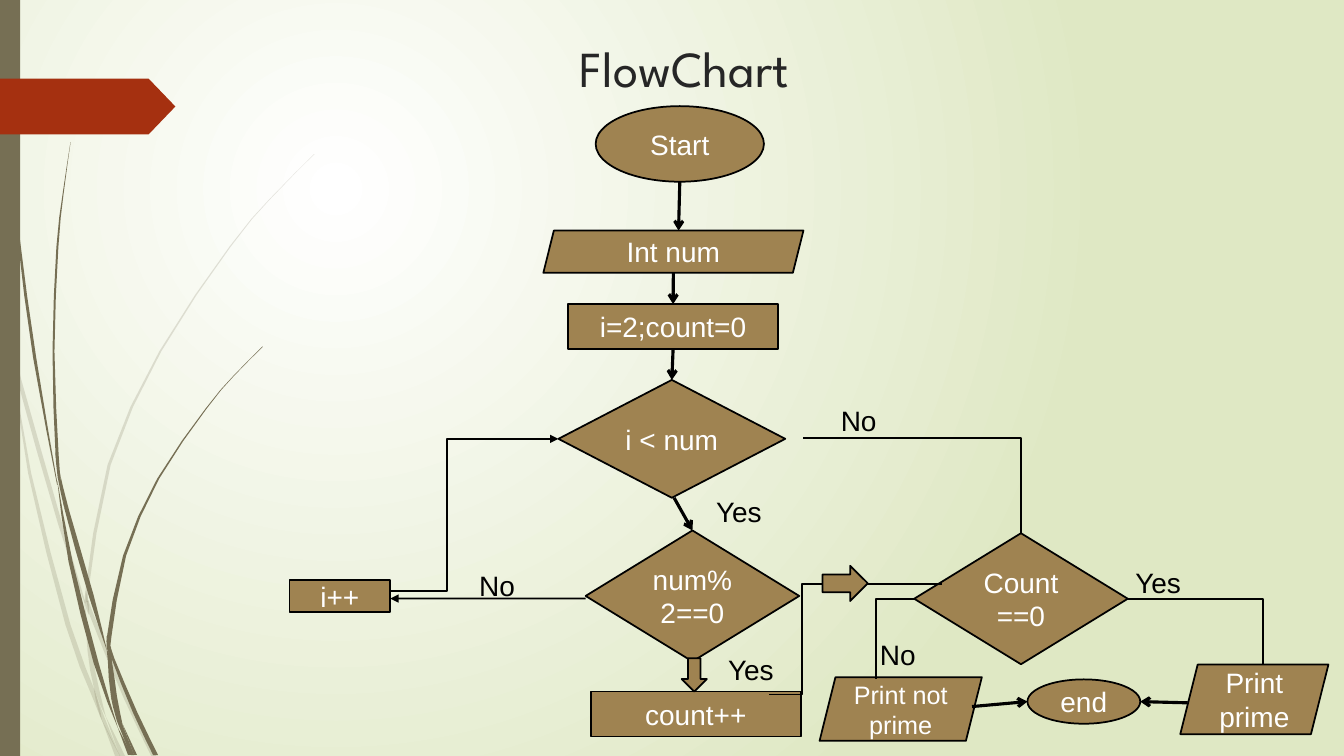
from dataclasses import dataclass
from lxml import etree
from pptx import Presentation
from pptx.dml.color import RGBColor
from pptx.enum.shapes import MSO_CONNECTOR, MSO_SHAPE
from pptx.enum.text import MSO_ANCHOR, PP_ALIGN
from pptx.oxml.ns import qn
from pptx.util import Pt

OVAL, RECT, RIBBON = MSO_SHAPE.OVAL, MSO_SHAPE.RECTANGLE, MSO_SHAPE.PENTAGON
DATA, DECISION = MSO_SHAPE.PARALLELOGRAM, MSO_SHAPE.FLOWCHART_DECISION
DOWN_ARROW, RIGHT_ARROW = MSO_SHAPE.DOWN_ARROW, MSO_SHAPE.RIGHT_ARROW
STRAIGHT, ELBOW = MSO_CONNECTOR.STRAIGHT, MSO_CONNECTOR.ELBOW
TOP, MIDDLE, CENTER = MSO_ANCHOR.TOP, MSO_ANCHOR.MIDDLE, PP_ALIGN.CENTER


@dataclass(frozen=True)
class Theme:
    stem: str = "766F54"
    ribbon: str = "A53010"
    node: str = "9F8351"
    ink: str = "000000"
    light: str = "FFFFFF"
    backdrop: str = "DFE8C4"
    heading: str = "262626"
    heading_font: str = "League Spartan"
    body_font: str = "Arial"
    heading_size: float = 36
    body_size: float = 20
    small_size: float = 18
    outline: float = 1.25


@dataclass(frozen=True)
class Box:
    left: float
    top: float
    width: float
    height: float

    def place(self, x, y, width, height):
        return Pt(self.left + x), Pt(self.top + y), Pt(width), Pt(height)


THEME = Theme()

# Strands of grass, each a run of knots: centre x, y, width
PALE_STRANDS = [
    [(0.1, 203, 0.1), (5.2, 231.8, 2.5), (7.9, 252, 0.1)],
    [(10.1, 248.4, 0.1), (13.7, 271, 2.9), (43.2, 375, 3), (60.8, 431, 0.8)],
    [(63.4, 429, 0.1), (65, 438, 3), (89.8, 498, 3.4), (109.8, 540, 3.6)],
    [(75.6, 512, 0.1), (87.5, 540, 3.6)],
    [(7.9, 252, 0.1), (21.2, 338, 2.2), (48.6, 446.4, 3.6), (66.6, 495, 3.6), (72.7, 514, 0.1)],
    [(60.5, 431.3, 0.1), (64, 465, 2.9), (69, 492, 3.5), (75.6, 512, 0.1)],
    [(224.6, 110, 0.2), (193, 142, 0.5), (164.5, 176, 0.9), (114.5, 251, 1.4), (78, 332, 2.2),
     (62.3, 420.5, 2.2), (63.4, 429, 0.1)],
    [(72.7, 514, 0.1), (84, 540, 3.6)],
    [(61.2, 422, 0.1), (61.9, 431, 2.9), (63.4, 439, 0.1)],
    [(67, 492, 0.1), (73, 512, 2.9), (85.7, 540, 0.1)],
]
DARK_STRANDS = [
    [(2.5, 0, 0.7), (5.4, 79, 0.8), (13, 167, 1.5), (24.8, 255.6, 2.2), (41, 346.3, 0.4)],
    [(43.2, 340, 0.1), (47.7, 364, 3), (65.2, 425.5, 3.6), (76.3, 464.4, 0.1)],
    [(79.2, 461.5, 0.1), (80.6, 470, 2), (96.6, 509, 3.2), (111.2, 539.3, 3.6)],
    [(41, 343.5, 0.1), (50.4, 401, 2.9), (68.8, 474, 3.6), (84.2, 519.8, 0.1)],
    [(50.4, 101.5, 0.1), (45, 139, 0.7), (41, 176.4, 1.4), (38.2, 251, 1.4), (40.8, 325, 2.2),
     (43.2, 340, 0.1)],
    [(87.8, 517.7, 0.1), (96.8, 539.3, 2.2)],
    [(39.6, 323.3, 0.1), (42.2, 341, 2), (46.1, 363.6, 0.1)],
    [(187.6, 247.7, 0.5), (166.5, 269, 0.5), (147.2, 292, 0.8), (113, 342, 1.4), (89, 397, 2.2),
     (78.1, 454.3, 3.2), (79.2, 461.5, 0.1)],
    [(84.2, 519.8, 0.1), (92.9, 539.3, 2.9)],
    [(76.3, 464.4, 0.1), (78.5, 472.3, 2.9), (81.4, 497.5, 4.3), (87.5, 517.7, 0.1)],
    [(76.3, 454.3, 0.1), (77.8, 463, 2.9), (79.9, 472.3, 0.1)],
    [(79.2, 497.5, 0.1), (85, 515, 3), (94.7, 539.3, 2.2)],
]

# Flowchart steps: preset, text, place in the chart box
STEPS = {
    "start": (OVAL, "Start", (225.5, 3.8, 120.2, 54)),
    "input": (DATA, "Int num", (188.1, 92.7, 185.8, 30.2)),
    "init": (RECT, "i=2;count=0", (205.9, 145.2, 149.8, 32.2)),
    "in_range": (DECISION, "i < num", (198.9, 199.4, 162, 84.2)),
    "divides": (DECISION, "num%2==0", (218.3, 306.9, 152.6, 93.6)),
    "next_i": (RECT, "i++", (6.8, 342.2, 72, 23)),
    "no_divisor": (DECISION, "Count==0", (453, 308.9, 152.6, 93.6)),
    "add_count": (RECT, "count++", (222.1, 421.9, 149.8, 32.2)),
    "prime": (DATA, "Print\nprime", (643.1, 402.7, 105.8, 49.7)),
    "not_prime": (DATA, "Print not\nprime", (385.4, 411.8, 115.9, 45.4)),
    "end": (OVAL, "end", (533.9, 413.3, 80.6, 31.7)),
}

# Flows: step and fraction of its width and height at each end, then format
BOLD = {"weight": 2.25, "head": "arrow"}
LOOP = (("next_i", 0.46, 0.34), ("in_range", 0, 0.5),
        {"weight": 1.75, "head": "triangle", "bend": 0.5})
FLOWS = [
    (("divides", 0, 0.52), ("next_i", 1, 0.58), {"head": "triangle"}),
    (("in_range", 1.08, 0.49), ("no_divisor", 0.5, 0), {"bend": 1}),
    (("no_divisor", 1, 0.5), ("prime", 0.56, 0), {"bend": 1}),
    (("no_divisor", 0, 0.5), ("not_prime", 0.35, 0.03), {"bend": 1}),
    (("add_count", 0.85, 0.07), ("no_divisor", 0.13, 0.39), {"bend": 0.19}),
    (("start", 0.5, 1), ("input", 0.52, 0), BOLD),
    (("input", 0.5, 1), ("init", 0.5, 0), BOLD),
    (("init", 0.5, 1), ("in_range", 0.5, 0), BOLD),
    (("in_range", 0.51, 1), ("divides", 0.5, 0), BOLD),
    (("not_prime", 0.94, 0.46), ("end", 0, 0.5), BOLD),
    (("prime", 0.05, 0.55), ("end", 1, 0.5), BOLD),
]
BLOCK_ARROWS = [(DOWN_ARROW, (286.9, 398.2, 18, 23.8)), (RIGHT_ARROW, (387.5, 332.1, 32.4, 25.2))]
ANSWERS = [("Yes", 300.4, 393.7), ("No", 119, 334), ("No", 377.4, 216.2),
           ("Yes", 291.8, 281.2), ("Yes", 591.3, 331.8), ("No", 405.3, 383.6)]


def write(shape, text, *, font=THEME.body_font, size=THEME.body_size, color=THEME.light,
          anchor=MIDDLE):
    frame = shape.text_frame
    frame.word_wrap, frame.vertical_anchor, frame.text = True, anchor, text
    for paragraph in frame.paragraphs:
        paragraph.alignment = CENTER
        paragraph.font.name, paragraph.font.size = font, Pt(size)
        paragraph.font.color.rgb = RGBColor.from_string(color)


def paint(shape, fill, outline=None):
    shape.shadow.inherit = False
    shape.fill.solid()
    shape.fill.fore_color.rgb = RGBColor.from_string(fill)
    shape.line.fill.background()
    if outline:
        shape.line.color.rgb = RGBColor.from_string(outline)
        shape.line.width = Pt(THEME.outline)
    return shape


def smooth(knots):
    """Add a point midway along the curve between each two knots."""
    padded = [knots[0], *knots, knots[-1]]
    for a, b, c, d in zip(padded, padded[1:], padded[2:], padded[3:]):
        yield b
        yield [(9 * (q + r) - p - s) / 16 for p, q, r, s in zip(a, b, c, d)]
    yield knots[-1]


def add_strand(slide, box, knots, opacity):
    curve = list(smooth(knots))
    edges = [(x - w / 2, y) for x, y, w in curve] + [(x + w / 2, y) for x, y, w in curve[::-1]]
    outline = [(Pt(box.left + x), Pt(box.top + y)) for x, y in edges]
    builder = slide.shapes.build_freeform(*outline[0])
    builder.add_line_segments(outline[1:], close=True)
    strand = paint(builder.convert_to_shape(), THEME.stem)
    color = strand._element.spPr.find(qn("a:solidFill"))[0]
    etree.SubElement(color, qn("a:alpha"), val=str(opacity * 1000))


def add_flow(slide, start, finish, weight=THEME.outline, head=None, bend=None):
    flow = slide.shapes.add_connector(STRAIGHT if bend is None else ELBOW, *start, *finish)
    flow.line.color.rgb = RGBColor.from_string(THEME.ink)
    flow.line.width = Pt(weight)
    properties = flow._element.spPr
    etree.SubElement(properties, qn("a:effectLst"))
    if head:
        etree.SubElement(properties.find(qn("a:ln")), qn("a:tailEnd"), type=head)
    if bend is not None:
        adjustments = properties.find(qn("a:prstGeom")).find(qn("a:avLst"))
        etree.SubElement(adjustments, qn("a:gd"), name="adj1", fmla=f"val {round(bend * 100000)}")


def draw_backdrop(slide):
    fill = slide.background.fill
    fill.gradient()
    for stop, color, position in zip(fill.gradient_stops, (THEME.light, THEME.backdrop), (0, 1)):
        stop.color.rgb, stop.position = RGBColor.from_string(color), position
    gradient = slide.background._cSld.find(".//" + qn("a:gradFill"))
    gradient.remove(gradient.find(qn("a:lin")))
    circle = etree.SubElement(gradient, qn("a:path"), path="circle")
    etree.SubElement(circle, qn("a:fillToRect"), l="50000", t="50000", r="100000", b="100000")


def draw_margin(slide, box):
    for strands, opacity in ((PALE_STRANDS, 20), (DARK_STRANDS, 100)):
        for knots in strands:
            add_strand(slide, box, knots, opacity)
    paint(slide.shapes.add_shape(RECT, *box.place(0, 0, 14.4, box.height)), THEME.stem)
    ribbon = slide.shapes.add_shape(RIBBON, *box.place(0, 56.2, 125.3, 39.8))
    paint(ribbon, THEME.ribbon).adjustments[0] = 0.48


def draw_title(slide, box):
    title = slide.shapes.title
    title.left, title.top, title.width, title.height = box.place(0, 0, box.width, box.height)
    write(title, "FlowChart", font=THEME.heading_font, size=THEME.heading_size,
          color=THEME.heading, anchor=TOP)


def draw_flowchart(slide, box):
    def point(key, across, down):
        left, top, width, height = box.place(*STEPS[key][2])
        return int(left + across * width), int(top + down * height)

    def add_node(preset, place):
        return paint(slide.shapes.add_shape(preset, *box.place(*place)), THEME.node, THEME.ink)

    # The loop runs beneath the steps, the other flows above them
    add_flow(slide, point(*LOOP[0]), point(*LOOP[1]), **LOOP[2])
    for key, (preset, text, place) in STEPS.items():
        size = THEME.small_size if key == "not_prime" else THEME.body_size
        write(add_node(preset, place), text, size=size)
    for start, finish, style in FLOWS:
        add_flow(slide, point(*start), point(*finish), **style)
    for preset, place in BLOCK_ARROWS:
        add_node(preset, place)
    for text, x, y in ANSWERS:
        write(slide.shapes.add_textbox(*box.place(x, y, 72, 24)), text, color=THEME.ink)


def main():
    deck = Presentation()
    deck.slide_width, deck.slide_height = Pt(960), Pt(540)
    slide = deck.slides.add_slide(deck.slide_layouts[5])
    draw_backdrop(slide)
    draw_margin(slide, Box(0, 0, 225, 540))
    draw_title(slide, Box(138, 23, 702, 65))
    draw_flowchart(slide, Box(200, 72, 750, 458))
    deck.save("out.pptx")


if __name__ == "__main__":
    main()
